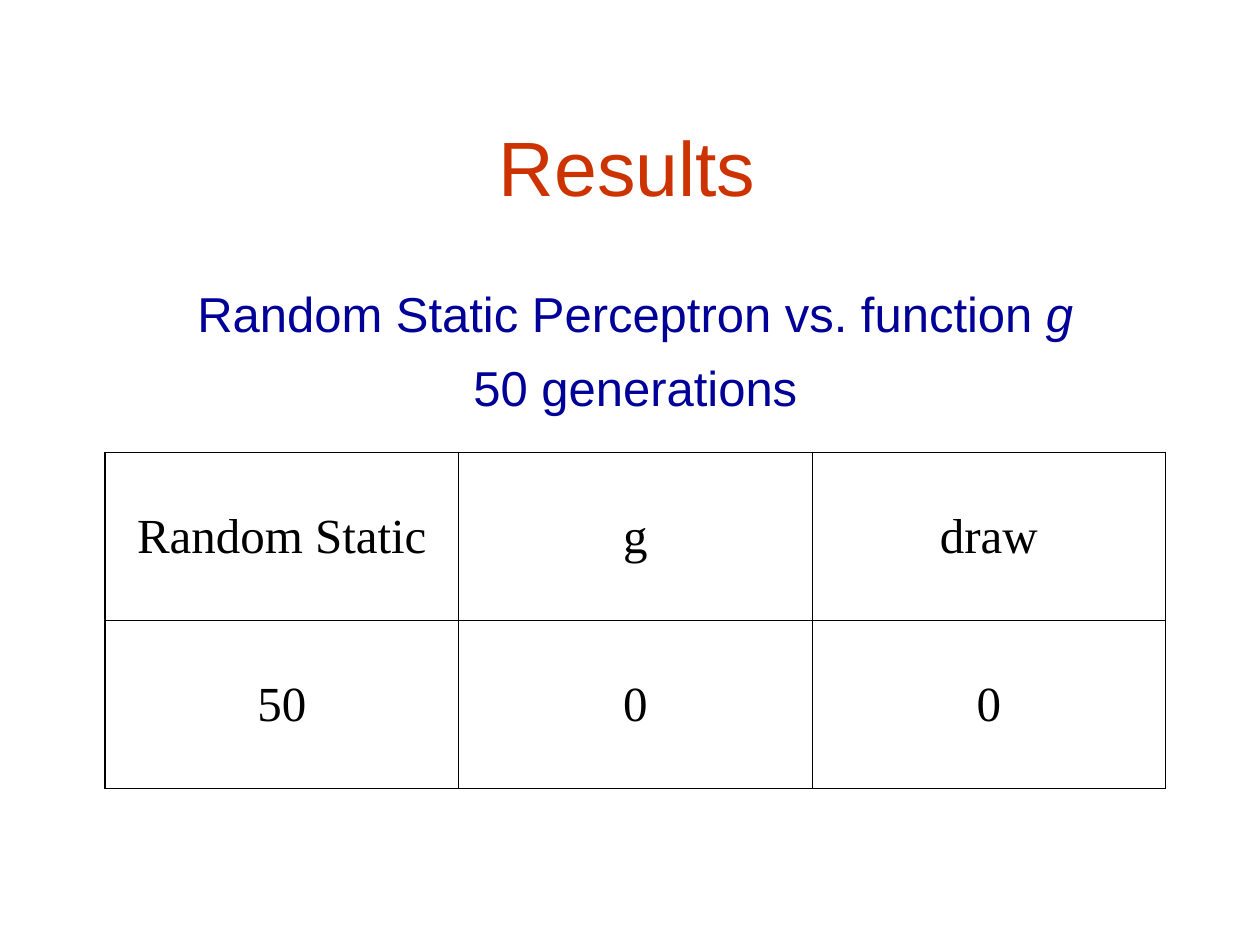
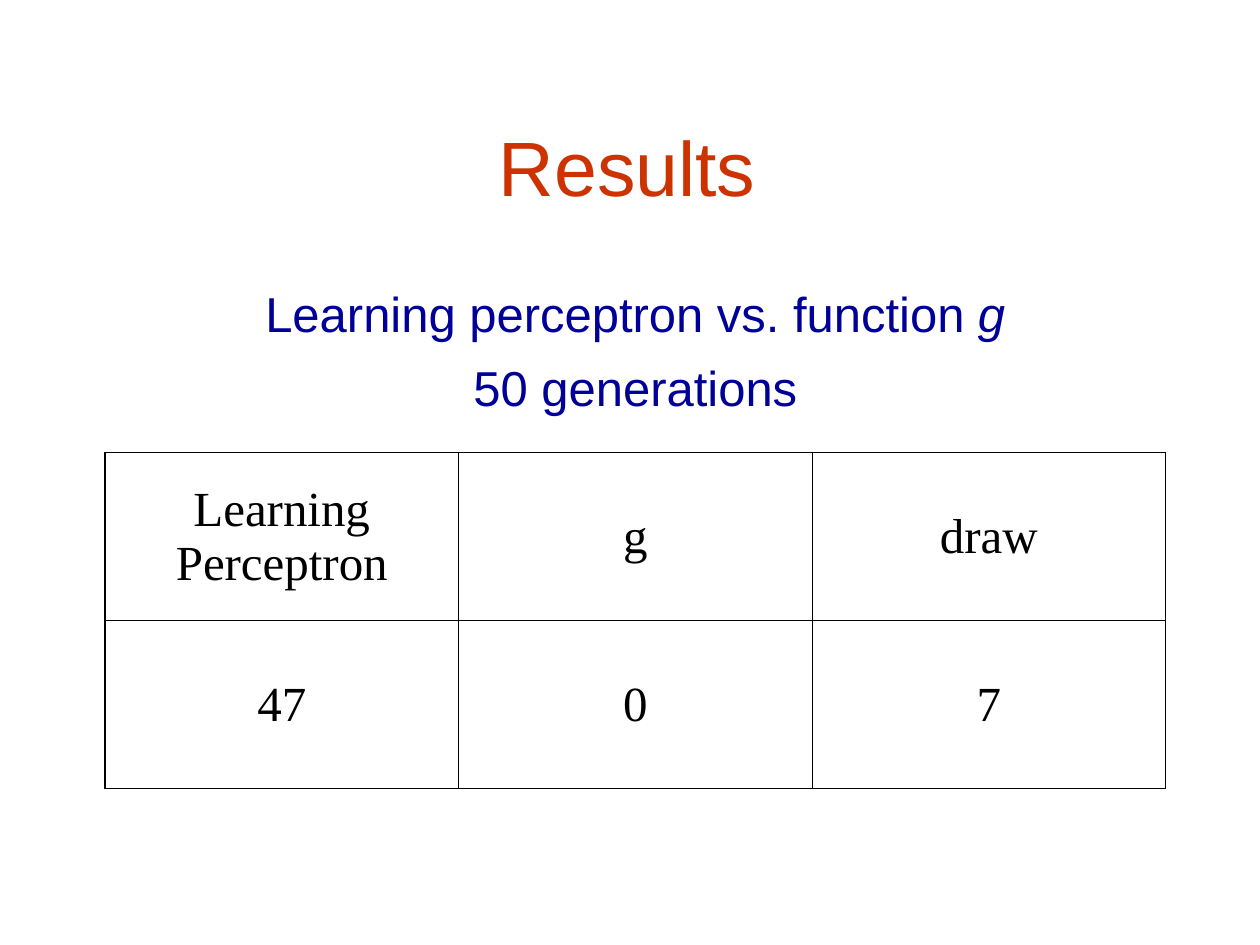
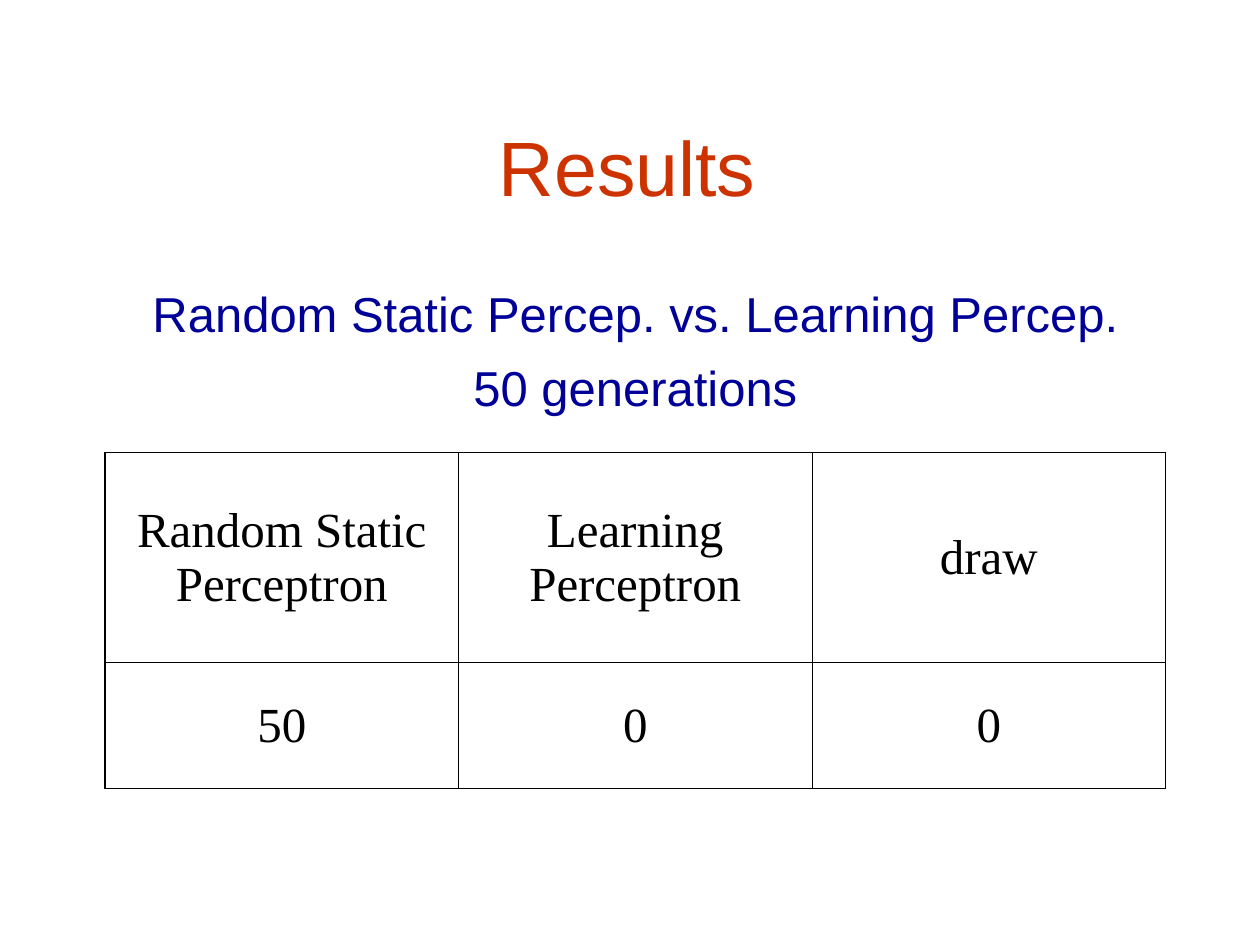
from dataclasses import dataclass
from typing import Any

from lxml.etree import SubElement
from pptx import Presentation
from pptx.dml.color import RGBColor
from pptx.enum.text import MSO_ANCHOR, PP_ALIGN
from pptx.oxml.ns import qn
from pptx.util import Inches, Pt

TITLE_RED = RGBColor(0xCC, 0x33, 0x00)
SUBTITLE_BLUE = RGBColor(0x00, 0x00, 0x99)
BLACK = RGBColor(0x00, 0x00, 0x00)
WHITE = RGBColor(0xFF, 0xFF, 0xFF)

WIDTH, HEIGHT = Inches(10), Inches(7.5)
GRID_COLS, GRID_ROWS = 120, 90
OUTER, INNER = Pt(1.08), Pt(0.45)

TITLE_FONT = {"name": "Arial", "size": Pt(44)}
SUBTITLE_FONT = {"name": "Arial", "size": Pt(28)}
CELL_FONT = {"name": "Times New Roman", "size": Pt(28), "bold": False}


@dataclass(frozen=True)
class Area:
    col: float
    row: float
    cols: float
    rows: float

    def box(self) -> tuple[int, int, int, int]:
        return (x_at(self.col), y_at(self.row), x_at(self.cols), y_at(self.rows))


@dataclass(frozen=True)
class TextStyle:
    font: dict[str, Any]
    color: RGBColor
    anchor: MSO_ANCHOR
    insets: tuple[float, float, float, float]
    gap: float = 0


@dataclass(frozen=True)
class Result:
    matchup: str
    function: str
    headings: tuple[str, ...]
    scores: tuple[str, ...]
    row_heights: tuple[int, int] = (16, 16)


TITLE_AREA = Area(9, 5, 102, 21)
SUBTITLE_AREA = Area(8, 26.5, 105, 13)
TABLE_AREA = Area(10, 43.1, 101, 32)

TITLE_STYLE = TextStyle(TITLE_FONT, TITLE_RED, MSO_ANCHOR.MIDDLE, (0.1, 0.1, 0.14, 0.06))
SUBTITLE_STYLE = TextStyle(SUBTITLE_FONT, SUBTITLE_BLUE, MSO_ANCHOR.TOP, (0.04, 0.04, 0.04, 0), 8.7)
CELL_STYLE = TextStyle(CELL_FONT, BLACK, MSO_ANCHOR.MIDDLE, (0.06, 0.05, 0.06, 0.05))

RESULTS = (
    Result("Random Static Perceptron vs. function ", "g",
           ("Random Static", "g", "draw"), ("50", "0", "0")),
    Result("Learning perceptron vs. function ", "g",
           ("Learning Perceptron", "g", "draw"), ("47", "0", "7")),
    Result("Random Static Percep. vs. Learning Percep.", "",
           ("Random Static Perceptron", "Learning Perceptron", "draw"),
           ("50", "0", "0"), (20, 12)),
)


def x_at(cols: float) -> int:
    return round(WIDTH * cols / GRID_COLS)


def y_at(rows: float) -> int:
    return round(HEIGHT * rows / GRID_ROWS)


def set_all(target: Any, values: dict[str, Any]) -> None:
    for name, value in values.items():
        setattr(target, name, value)


def set_frame(target: Any, style: TextStyle) -> None:
    sides = ("margin_left", "margin_top", "margin_right", "margin_bottom")
    set_all(target, {"vertical_anchor": style.anchor, "word_wrap": True}
            | {side: Inches(inset) for side, inset in zip(sides, style.insets)})


def write_line(p: Any, style: TextStyle, text: str, italic_text: str = "") -> None:
    p.alignment = PP_ALIGN.CENTER
    for part, italic in ((text, False), (italic_text, True)):
        if part:
            r = p.add_run()
            r.text = part
            set_all(r.font, style.font | {"italic": italic})
            r.font.color.rgb = style.color


def add_text(s: Any, area: Area, style: TextStyle, *lines: tuple[str, ...]) -> None:
    tf = s.shapes.add_textbox(*area.box()).text_frame
    set_frame(tf, style)
    for i, line in enumerate(lines):
        p = tf.add_paragraph() if i else tf.paragraphs[0]
        if i:
            p.space_before = Pt(style.gap)
        write_line(p, style, *line)


def add_borders(cell: Any, widths: dict[str, int]) -> None:
    tc_pr = cell._tc.get_or_add_tcPr()
    for i, (side, width) in enumerate(widths.items()):
        ln = SubElement(tc_pr, qn(f"a:ln{side}"), w=str(width))
        fill = SubElement(ln, qn("a:solidFill"))
        SubElement(fill, qn("a:srgbClr"), val=str(BLACK))
        tc_pr.insert(i, ln)


def add_score_table(s: Any, result: Result) -> None:
    rows = (result.headings, result.scores)
    last_row, last_col = len(rows) - 1, len(result.headings) - 1
    table = s.shapes.add_table(len(rows), last_col + 1, *TABLE_AREA.box()).table
    set_all(table, {"first_row": False, "horz_banding": False})
    for column in table.columns:
        column.width = x_at(TABLE_AREA.cols / (last_col + 1))
    for i, texts in enumerate(rows):
        table.rows[i].height = y_at(result.row_heights[i])
        for j, text in enumerate(texts):
            cell = table.cell(i, j)
            cell.fill.background()
            set_frame(cell, CELL_STYLE)
            write_line(cell.text_frame.paragraphs[0], CELL_STYLE, text)
            edges = {"L": j == 0, "R": j == last_col, "T": i == 0, "B": i == last_row}
            add_borders(cell, {side: OUTER if edge else INNER for side, edge in edges.items()})


def add_result_slide(prs: Any, result: Result) -> None:
    s = prs.slides.add_slide(prs.slide_layouts[6])
    s.background.fill.solid()
    s.background.fill.fore_color.rgb = WHITE
    add_text(s, TITLE_AREA, TITLE_STYLE, ("Results",))
    add_text(s, SUBTITLE_AREA, SUBTITLE_STYLE,
             (result.matchup, result.function), ("50 generations",))
    add_score_table(s, result)


def main() -> None:
    prs = Presentation()
    set_all(prs, {"slide_width": WIDTH, "slide_height": HEIGHT})
    for result in RESULTS:
        add_result_slide(prs, result)
    prs.save("out.pptx")


if __name__ == "__main__":
    main()
